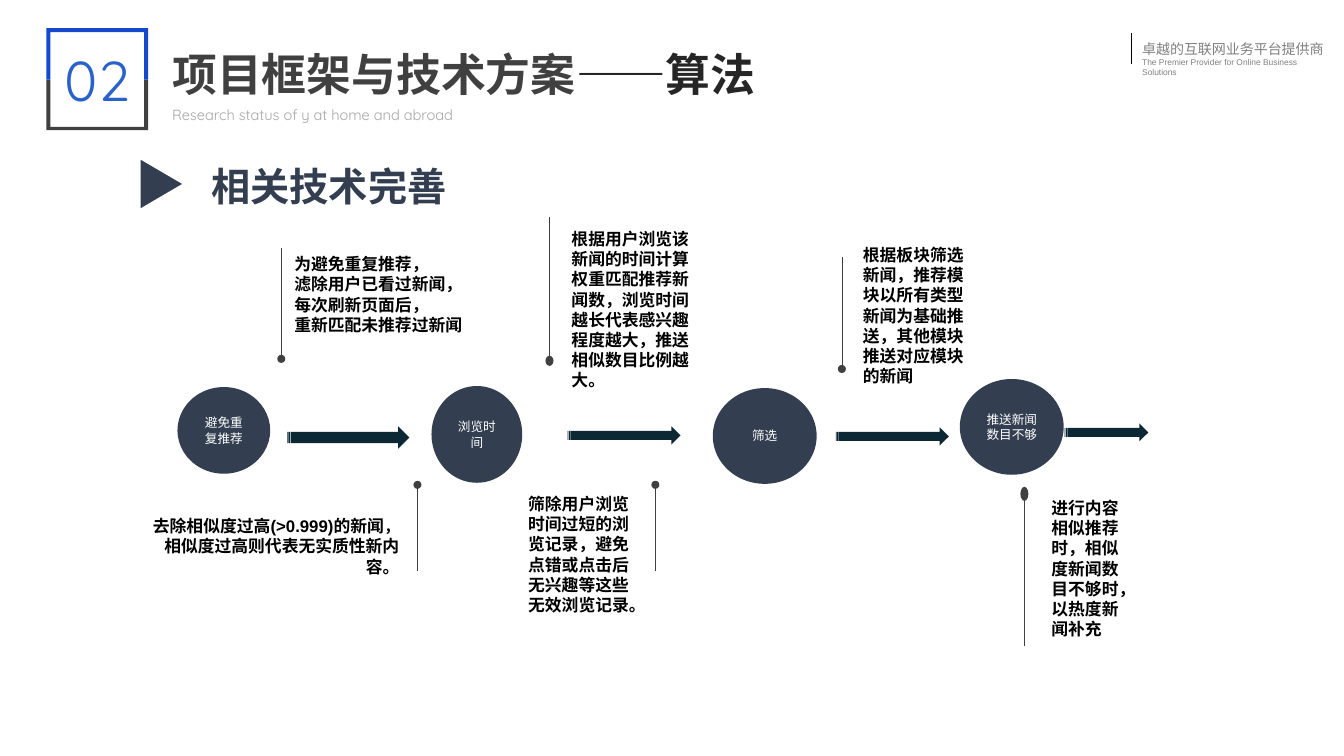
from dataclasses import dataclass

from lxml import etree
from pptx import Presentation
from pptx.dml.color import RGBColor
from pptx.enum.shapes import MSO_CONNECTOR, MSO_SHAPE
from pptx.enum.text import MSO_ANCHOR, MSO_AUTO_SIZE, PP_ALIGN
from pptx.oxml.ns import qn
from pptx.util import Inches, Pt

OVAL = MSO_SHAPE.OVAL
ARROW = MSO_SHAPE.STRIPED_RIGHT_ARROW
WEDGE = MSO_SHAPE.ISOSCELES_TRIANGLE
LINE = MSO_CONNECTOR.STRAIGHT
LEFT, CENTER, RIGHT = PP_ALIGN.LEFT, PP_ALIGN.CENTER, PP_ALIGN.RIGHT
MIDDLE = MSO_ANCHOR.MIDDLE
GROW = MSO_AUTO_SIZE.SHAPE_TO_FIT_TEXT


@dataclass(frozen=True)
class Style:
    size: float
    color: str
    font: str = "Arial"
    bold: bool = False


@dataclass(frozen=True)
class Theme:
    gray: str = "404040"
    blue: str = "1548CE"
    navy: str = "333F50"
    teal: str = "0C2834"
    black: str = "000000"
    cjk: str = "Noto Sans CJK SC"
    title: Style = Style(32, "404040", bold=True)
    topic: Style = Style(32, "262626", bold=True)
    sub: Style = Style(10.5, "A6A6A6", "Quicksand")
    number: Style = Style(40, "2962CD", "Quicksand")
    head: Style = Style(28, "333F50", bold=True)
    note: Style = Style(12, "000000", bold=True)
    comma: Style = Style(11, "000000", bold=True)
    step: Style = Style(9, "FFFFFF", "Noto Sans CJK SC")
    slogan: Style = Style(10, "808080", "Noto Sans CJK SC")
    motto: Style = Style(6, "808080")


@dataclass(frozen=True)
class Box:
    x: float
    y: float
    w: float
    h: float

    def place(self) -> tuple:
        return tuple(Inches(v) for v in (self.x, self.y, self.w, self.h))


@dataclass(frozen=True)
class Label:
    text: str
    box: Box
    style: Style
    align: PP_ALIGN = LEFT
    wrap: bool = True


@dataclass(frozen=True)
class Stem:
    x: float
    y: float
    end: float
    tall: float = 0.08


T = Theme()
DOT = 0.08

LABELS = [
    Label("Research status of y at home and abroad", Box(1.61, 0.98, 4.66, 0.28), T.sub),
    Label("02", Box(0.46, 0.4, 1.01, 0.77), T.number, CENTER),
    Label("相关技术完善", Box(2, 1.56, 2.56, 0.57), T.head, wrap=False),
    Label("为避免重复推荐，\n滤除用户已看过新闻，\n每次刷新页面后，\n重新匹配未推荐过新闻",
          Box(2.82, 2.47, 1.88, 0.91), T.note, wrap=False),
    Label("根据用户浏览该新闻的时间计算权重匹配推荐新闻数，浏览时间越长代表感兴趣程度越大，推送相似数目比例越大。",
          Box(5.57, 2.22, 1.4, 1.72), T.note),
    Label("筛除用户浏览时间过短的浏览记录，避免点错或点击后无兴趣等这些无效浏览记录。",
          Box(5.14, 4.85, 1.22, 1.31), T.note),
    Label("根据板块筛选新闻，推荐模块以所有类型新闻为基础推送，其他模块推送对应模块的新闻",
          Box(8.46, 2.38, 1.22, 1.51), T.note),
    Label("进行内容相似推荐时，相似度新闻数目不够时，以热度新闻补充",
          Box(10.33, 4.89, 0.88, 1.51), T.note),
]
STEPS = [
    ("避免重复推荐", Box(1.76, 3.84, 0.92, 0.86)),
    ("浏览时间", Box(4.28, 3.83, 0.9, 0.96)),
    ("筛选", Box(7.07, 3.85, 1.03, 0.95)),
    ("推送新闻数目不够", Box(9.52, 3.76, 1.03, 0.95)),
]
ARROWS = [Box(2.85, 4.23, 1.21, 0.22), Box(5.63, 4.23, 1.12, 0.18),
          Box(8.29, 4.24, 1.12, 0.18), Box(10.56, 4.2, 0.83, 0.18)]
STEMS = [Stem(2.75, 3.52, 2.46), Stem(5.41, 3.53, 2.15, 0.1), Stem(8.31, 3.62, 2.55),
         Stem(4.1, 4.77, 5.66), Stem(6.46, 4.77, 5.66), Stem(10.12, 4.83, 6.41, 0.14)]


def dress(run, style: Style) -> None:
    font = run.font
    font.size, font.bold, font.name = Pt(style.size), style.bold, style.font
    font.color.rgb = RGBColor.from_string(style.color)
    etree.SubElement(run._r.get_or_add_rPr(), qn("a:ea")).set("typeface", T.cjk)


def write(frame, text: str, style: Style, align: PP_ALIGN) -> None:
    frame.text = text
    for par in frame.paragraphs:
        par.alignment = align
        for run in par.runs:
            dress(run, style)


def extend(par, text: str, style: Style) -> None:
    run = par.add_run()
    run.text = text
    dress(run, style)


def label(slide, item: Label):
    frame = slide.shapes.add_textbox(*item.box.place()).text_frame
    frame.word_wrap = item.wrap
    frame.auto_size = GROW
    write(frame, item.text, item.style, item.align)
    return frame


def paint(shape, color: str) -> None:
    shape.shadow.inherit = False
    shape.fill.solid()
    shape.fill.fore_color.rgb = RGBColor.from_string(color)
    shape.line.fill.background()


def solid(slide, kind: MSO_SHAPE, box: Box, color: str):
    shape = slide.shapes.add_shape(kind, *box.place())
    paint(shape, color)
    return shape


def rule(slide, x: float, top: float, end: float, color: str, width: float) -> None:
    line = slide.shapes.add_connector(LINE, Inches(x), Inches(top), Inches(x), Inches(end))
    line.line.color.rgb = RGBColor.from_string(color)
    line.line.width = Pt(width)
    etree.SubElement(line._element.spPr, qn("a:effectLst"))


def bracket(slide, edge: float, inner: float, color: str) -> None:
    """Half of the number frame, from its middle to the given edge."""
    mid, left, right, thick = 0.79, 0.46, 1.47, 0.04
    points = [(left, edge), (right, edge), (right, mid), (right - thick, mid),
              (right - thick, inner), (left + thick, inner), (left + thick, mid)]
    points = [(Inches(x), Inches(y)) for x, y in points]
    form = slide.shapes.build_freeform(Inches(left), Inches(mid))
    form.add_line_segments(points, close=True)
    paint(form.convert_to_shape(), color)


def main() -> None:
    deck = Presentation()
    deck.slide_width, deck.slide_height = Inches(13.33), Inches(7.5)
    slide = deck.slides.add_slide(deck.slide_layouts[6])

    # Slogan in the corner
    frame = label(slide, Label("卓越的互联网业务平台提供商", Box(11.23, 0.35, 2.1, 0.37),
                               T.slogan, wrap=False))
    extend(frame.add_paragraph(), "The Premier Provider for Online Business Solutions", T.motto)
    rule(slide, 11.22, 0.33, 0.64, T.black, 0.25)

    # Title and number frame
    frame = label(slide, Label("项目框架与技术方案", Box(1.61, 0.41, 6.04, 0.64),
                               T.title, wrap=False))
    extend(frame.paragraphs[0], "——算法", T.topic)
    bracket(slide, 1.29, 1.26, T.gray)
    bracket(slide, 0.28, 0.32, T.blue)
    solid(slide, WEDGE, Box(1.36, 1.62, 0.48, 0.41), T.navy).rotation = 90

    # Flow of steps
    for text, box in STEPS:
        frame = solid(slide, OVAL, box, T.navy).text_frame
        frame.word_wrap = True
        frame.vertical_anchor = MIDDLE
        write(frame, text, T.step, CENTER)
    for box in ARROWS:
        solid(slide, ARROW, box, T.teal)

    # Stems with dots
    for stem in STEMS:
        solid(slide, OVAL, Box(stem.x, stem.y, DOT, stem.tall), T.gray)
        start = stem.y if stem.end < stem.y else stem.y + stem.tall
        rule(slide, stem.x + DOT / 2, start, stem.end, T.gray, 0.5)

    # Headings and notes
    for item in LABELS:
        frame = label(slide, item)
        if item.style is T.sub:
            frame.paragraphs[0].line_spacing = 1.14
    frame = label(slide, Label("去除相似度过高(>0.999)的新闻", Box(1.37, 5.07, 2.69, 0.71),
                               T.note, RIGHT))
    extend(frame.paragraphs[0], "，", T.comma)
    extend(frame.paragraphs[0], "相似度过高则代表无实质性新内容。", T.note)

    deck.save("out.pptx")


if __name__ == "__main__":
    main()
